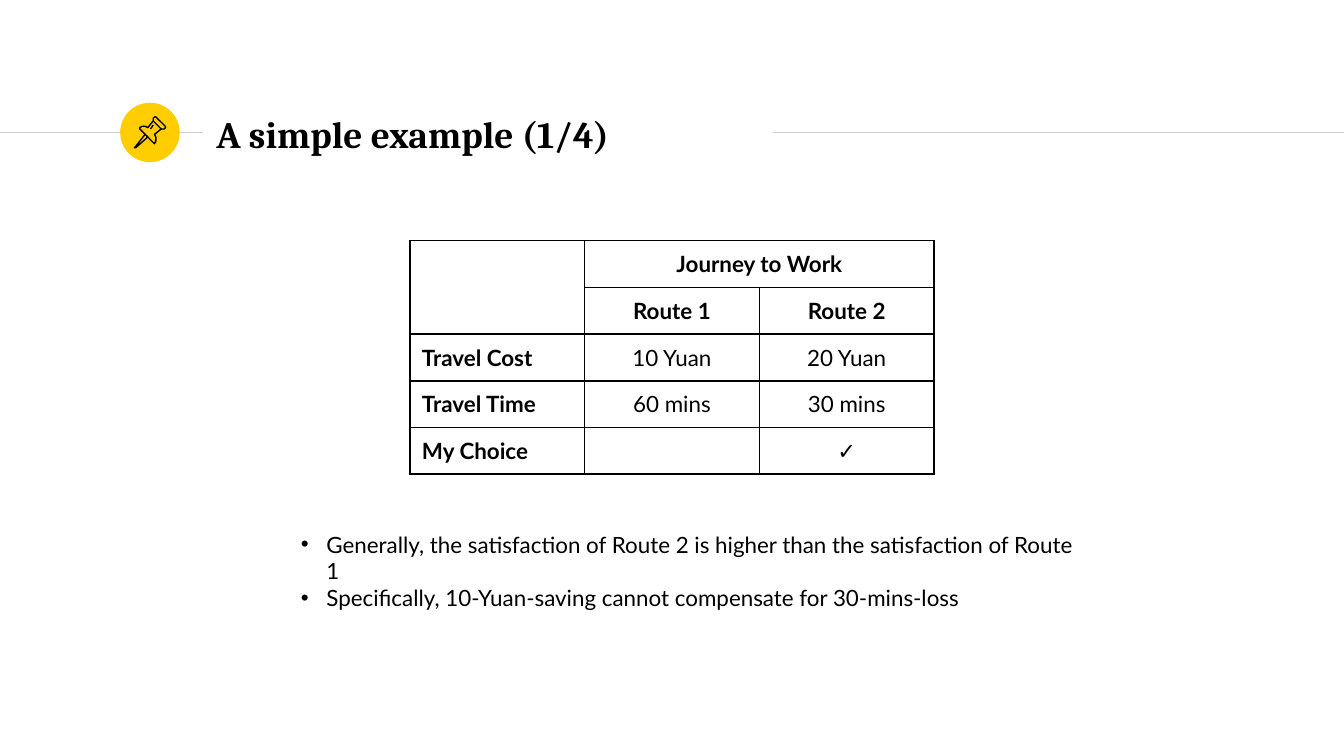
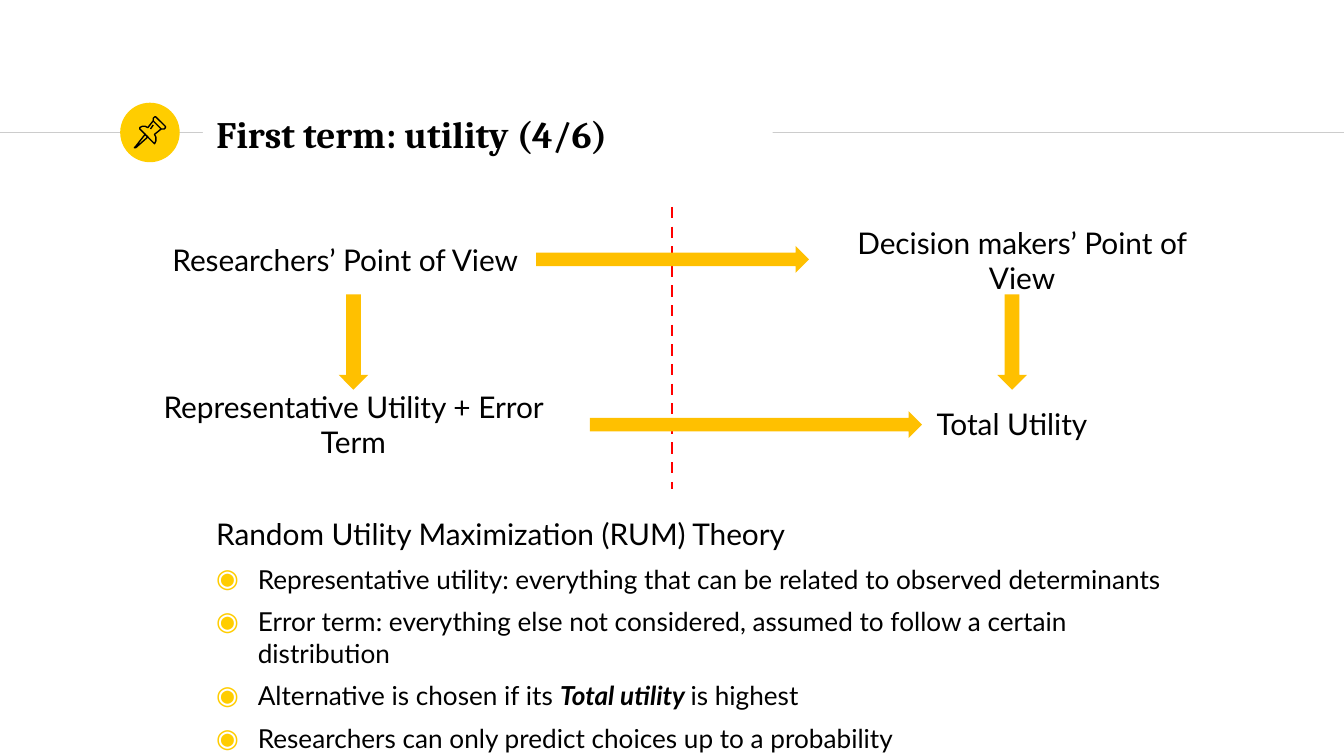
from lxml.etree import SubElement
from pptx import Presentation
from pptx.dml.color import RGBColor
from pptx.enum.dml import MSO_LINE
from pptx.enum.shapes import MSO_CONNECTOR, MSO_SHAPE
from pptx.enum.text import MSO_ANCHOR, MSO_AUTO_SIZE, PP_ALIGN
from pptx.oxml import parse_xml
from pptx.oxml.ns import nsdecls, qn
from pptx.util import Inches, Pt

BLACK = RGBColor(0x00, 0x00, 0x00)
WHITE = RGBColor(0xFF, 0xFF, 0xFF)
GREY = RGBColor(0xCC, 0xCC, 0xCC)
YELLOW = RGBColor(0xFF, 0xCD, 0x00)
AMBER = RGBColor(0xFF, 0xC0, 0x00)
RED = RGBColor(0xFF, 0x00, 0x00)

SLIDE_WIDTH = Inches(10)
SLIDE_HEIGHT = SLIDE_WIDTH * 9 // 16
COLUMN = SLIDE_WIDTH / 100
ROW = SLIDE_HEIGHT / 56.25

TITLE_FONT = {"name": "Cambria", "size": Pt(20), "bold": True}
LABEL_FONT = {"name": "Lato", "size": Pt(16)}
LIST_FONT = {"name": "Lato", "size": Pt(14)}
SMALL_FONT = {"name": "Lato", "size": Pt(12)}
STRONG = {"bold": True, "italic": True}

CENTERED = {"alignment": PP_ALIGN.CENTER}
SPACED = {"space_before": Pt(6)}
LEFT = {"alignment": PP_ALIGN.LEFT}
PADDED = dict.fromkeys(
    ("margin_left", "margin_top", "margin_right", "margin_bottom"), Inches(0.1))
MIDDLE = {"vertical_anchor": MSO_ANCHOR.MIDDLE}
CELL_FRAME = {"margin_left": Inches(0.09), "margin_right": Inches(0.09),
              "margin_top": Inches(0.04), "margin_bottom": Inches(0.04)}

DOT = {"char": "•", "indent": Inches(0.19), "color": None}
FISHEYE = {"char": "◉", "indent": Inches(0.31), "color": YELLOW}

PIN_SCALE = 10
PIN_OUTLINES = [
    ([(108, 100), (101, 109), (100, 110), (101, 110), (110, 102)], True),
    ([(114, 90), (120, 96), (122, 96), (123, 95), (123, 94),
      (116, 87), (115, 87), (114, 88)], True),
    ([(114, 90), (110, 95), (108, 94), (106, 94), (104, 95),
      (104, 96), (114, 106), (115, 107), (116, 105),
      (116, 102), (115, 100), (120, 96)], False),
    ([(112, 96), (114, 93)], False),
]

JOURNEY = [
    ["", "Journey to Work", ""],
    ["", "Route 1", "Route 2"],
    ["Travel Cost", "10 Yuan", "20 Yuan"],
    ["Travel Time", "60 mins", "30 mins"],
    ["My Choice", "", "✓"],
]
JOURNEY_NOTES = [
    "Generally, the satisfaction of Route 2 is higher than the satisfaction of Route 1",
    "Specifically, 10-Yuan-saving cannot compensate for 30-mins-loss",
]
VIEW_LABELS = [
    ("Representative Utility + Error Term", (8.7, 29.4, 35.2, 4.3)),
    ("Researchers’ Point of View", (11.5, 17.2, 28.4, 4.3)),
    ("Decision makers’ Point of View", (60.1, 17.2, 31.9, 4.3)),
    ("Total Utility", (68.6, 29.4, 13.4, 4.3)),
]
VIEW_ARROWS = [
    (MSO_SHAPE.DOWN_ARROW, (25.2, 21.9, 2.2, 7.1)),
    (MSO_SHAPE.DOWN_ARROW, (74.2, 21.9, 2.2, 7.1)),
    (MSO_SHAPE.RIGHT_ARROW, (43.9, 30.6, 24.7, 2)),
    (MSO_SHAPE.RIGHT_ARROW, (39.9, 18.3, 20.3, 2)),
]
THEORY_POINTS = [
    [("Representative utility: everything that can be related to observed determinants", {})],
    [("Error term: everything else not considered, assumed to follow a certain distribution", {})],
    [("Alternative is chosen if its ", {}), ("Total utility ", STRONG), ("is highest", {})],
    [("Researchers can only predict choices up to a probability", {})],
]


def grid(left, top, width, height):
    """Turn columns and rows of the grid into slide lengths."""
    return [round(left * COLUMN), round(top * ROW),
            round(width * COLUMN), round(height * ROW)]


def apply(target, values):
    """Set each format value on the target."""
    for name, value in values.items():
        setattr(target, name, value)


def add_bullet(para, bullet):
    """Give a paragraph a hanging bullet character."""
    properties = para._p.get_or_add_pPr()
    properties.set("marL", str(bullet["indent"]))
    properties.set("indent", str(-bullet["indent"]))
    if bullet["color"] is not None:
        color = SubElement(properties, qn("a:buClr"))
        SubElement(color, qn("a:srgbClr"), val=str(bullet["color"]))
    SubElement(properties, qn("a:buFont"), typeface="Arial")
    SubElement(properties, qn("a:buChar"), char=bullet["char"])


def write_paragraph(para, spans, font, layout, bullet=None):
    """Fill a paragraph with formatted spans."""
    apply(para, layout)
    if bullet:
        add_bullet(para, bullet)
    for text, extra in spans:
        span = para.add_run()
        span.text = text
        apply(span.font, {**font, **extra})
        span.font.color.rgb = BLACK


def add_text(page, place, paragraphs, frame_format):
    """Add a wrapping text box holding the given paragraphs."""
    frame = page.shapes.add_textbox(*grid(*place)).text_frame
    frame.word_wrap = True
    apply(frame, frame_format)
    for index, paragraph in enumerate(paragraphs):
        para = frame.add_paragraph() if index else frame.paragraphs[0]
        write_paragraph(para, *paragraph)


def add_line(page, start, end, color, width, dash=None):
    """Add a straight line between two grid points."""
    line = page.shapes.add_connector(
        MSO_CONNECTOR.STRAIGHT, *grid(*start, *end))
    line.line.color.rgb = color
    apply(line.line, {"width": Pt(width), "dash_style": dash})
    SubElement(line.element.spPr, qn("a:effectLst"))


def add_solid(page, kind, place, color):
    """Add a preset shape with a plain fill and no outline."""
    shape = page.shapes.add_shape(kind, *grid(*place))
    shape.shadow.inherit = False
    shape.fill.solid()
    shape.fill.fore_color.rgb = color
    shape.line.fill.background()


def add_outline(page, points, closed):
    """Add an unfilled black outline through points in tenths of the grid."""
    builder = page.shapes.build_freeform(
        *points[0], scale=(COLUMN / PIN_SCALE, ROW / PIN_SCALE))
    builder.add_line_segments(points[1:], close=closed)
    shape = builder.convert_to_shape()
    shape.shadow.inherit = False
    shape.fill.background()
    shape.line.color.rgb = BLACK
    shape.line.width = Pt(0.75)


def add_page(deck, heading):
    """Add a slide with the rule, pin badge and title."""
    page = deck.slides.add_slide(deck.slide_layouts[5])
    page.background.fill.solid()
    page.background.fill.fore_color.rgb = WHITE
    add_line(page, (0, 9.86), (100, 9.86), GREY, 0.75)
    add_solid(page, MSO_SHAPE.OVAL, (8.94, 7.64, 4.43, 4.43), YELLOW)
    for points, closed in PIN_OUTLINES:
        add_outline(page, points, closed)
    title = page.shapes.title
    page.shapes.element.append(title.element)
    places = zip(("left", "top", "width", "height"), grid(15.1, 7.55, 42.4, 4.8))
    apply(title, dict(places))
    title.fill.solid()
    title.fill.fore_color.rgb = WHITE
    apply(title.text_frame, {**PADDED, **MIDDLE, "word_wrap": True,
                             "auto_size": MSO_AUTO_SIZE.NONE})
    write_paragraph(title.text_frame.paragraphs[0], [(heading, {})], TITLE_FONT, LEFT)
    return page


def add_borders(cell):
    """Draw a thin black border on each side of a cell."""
    properties = cell._tc.get_or_add_tcPr()
    for index, side in enumerate(("lnL", "lnR", "lnT", "lnB")):
        properties.insert(index, parse_xml(
            f'<a:{side} {nsdecls("a")} w="{Pt(1)}"><a:solidFill>'
            f'<a:srgbClr val="{BLACK}"/></a:solidFill></a:{side}>'))


def add_journey_table(page, place):
    """Add the route table with merged header cells."""
    rows, columns = len(JOURNEY), len(JOURNEY[0])
    table = page.shapes.add_table(rows, columns, *grid(*place)).table
    apply(table, {"first_row": False, "horz_banding": False})
    for row, texts in enumerate(JOURNEY):
        for column, text in enumerate(texts):
            cell = table.cell(row, column)
            apply(cell, {**CELL_FRAME, **MIDDLE})
            cell.fill.background()
            add_borders(cell)
            para = cell.text_frame.paragraphs[0]
            if text:
                font = {**SMALL_FONT, "bold": row < 2 or column == 0}
                write_paragraph(para, [(text, {})], font, CENTERED if column else LEFT)
            else:
                SubElement(para._p, qn("a:endParaRPr"), sz="1200")
    table.cell(0, 0).merge(table.cell(1, 0))
    table.cell(0, 1).merge(table.cell(0, 2))


def build_example(deck):
    """Build the slide comparing two routes."""
    page = add_page(deck, "A simple example (1/4)")
    add_journey_table(page, (30.5, 17.9, 39, 17.4))
    notes = [([(text, {})], SMALL_FONT, LEFT, DOT) for text in JOURNEY_NOTES]
    add_text(page, (21.4, 39, 60.2, 5), notes, {})


def build_utility(deck):
    """Build the slide relating the two points of view."""
    page = add_page(deck, "First term: utility (4/6)")
    heading = [("Random Utility Maximization (RUM) Theory", {})]
    points = [(spans, LIST_FONT, SPACED, FISHEYE) for spans in THEORY_POINTS]
    add_text(page, (15.1, 37.4, 74.5, 16.8),
             [(heading, LABEL_FONT, SPACED), *points], PADDED)
    add_line(page, (50, 15.4), (50, 36.4), RED, 1.5, MSO_LINE.DASH)
    for text, place in VIEW_LABELS:
        add_text(page, place, [([(text, {})], LABEL_FONT, {**CENTERED, **SPACED})],
                 {**PADDED, **MIDDLE})
    for kind, place in VIEW_ARROWS:
        add_solid(page, kind, place, AMBER)


def main():
    """Build and save the deck."""
    deck = Presentation()
    deck.slide_width, deck.slide_height = SLIDE_WIDTH, SLIDE_HEIGHT
    build_example(deck)
    build_utility(deck)
    deck.save("out.pptx")


main()
